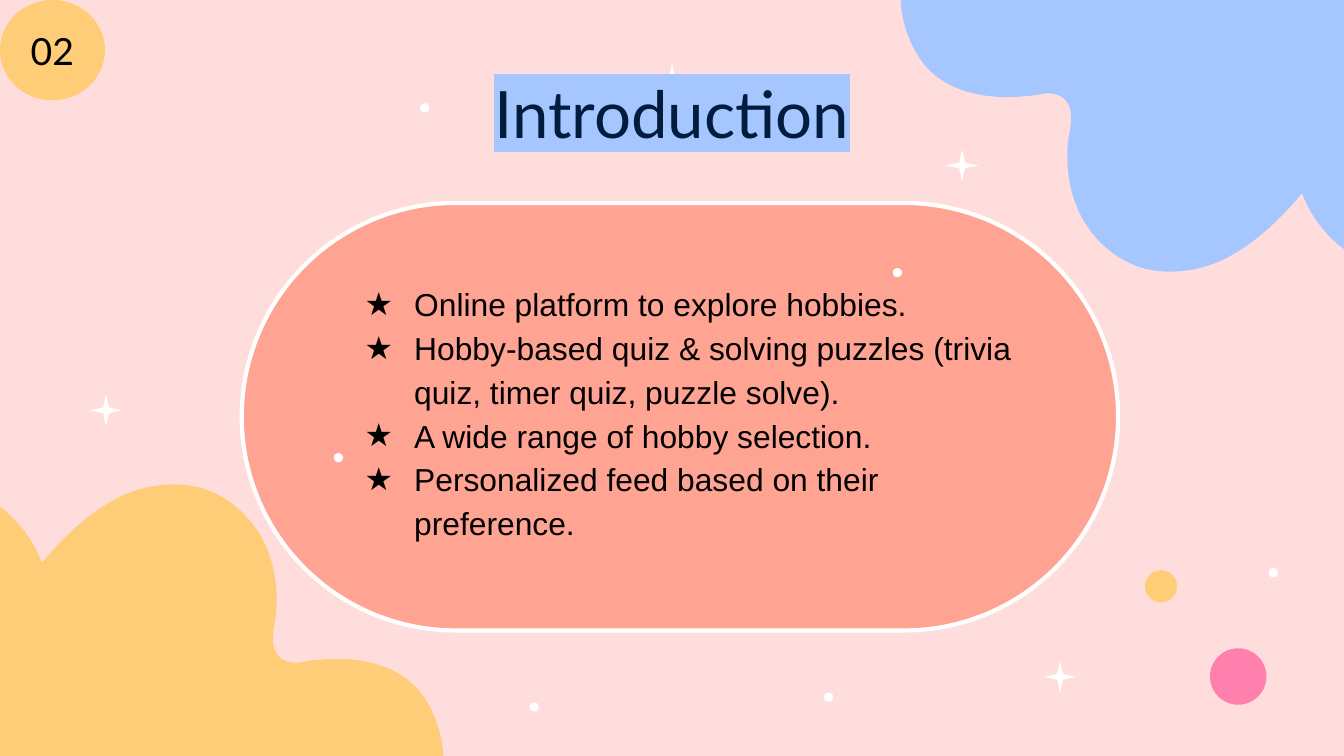
"""Build the introduction slide with a capsule list and cloud decorations."""
from typing import NamedTuple

from lxml import etree
from pptx import Presentation
from pptx import util as u
from pptx.dml import color
from pptx.enum import shapes, text
from pptx.oxml import ns

WIDTH, HEIGHT = 720, 405
WHITE, BLACK, NAVY = "FFFFFF", "000000", "021C3D"
BLUSH, CORAL, PINK = "FFDDDD", "FFA393", "FF7FAD"
BLUE, YELLOW = "A5C6FF", "FFCC77"
STAR, OVAL = shapes.MSO_SHAPE.STAR_4_POINT, shapes.MSO_SHAPE.OVAL


class Ornament(NamedTuple):
    """A plain preset shape, measured in points."""
    kind: shapes.MSO_SHAPE
    left: float
    top: float
    width: float
    height: float
    fill: str


def star(left: float, top: float) -> Ornament:
    """Describe a white sparkle."""
    return Ornament(STAR, left, top, 17.25, 17.25, WHITE)


def dot(left: float, top: float) -> Ornament:
    """Describe a small white dot."""
    return Ornament(OVAL, left, top, 5, 5, WHITE)


BACK_ORNAMENTS = [
    star(559.3, 354), star(31, 26), star(48.2, 211.2), star(351.4, 34),
    dot(679.7, 304.4), dot(283.7, 376.3), dot(441.4, 371), dot(225.1, 55.3),
]
FRONT_ORNAMENTS = [
    dot(478.3, 143.6), Ornament(OVAL, 648.2, 347.3, 30.25, 30.25, PINK),
    Ornament(OVAL, 613.4, 305.5, 17.25, 17.25, YELLOW),
    star(506.8, 80), dot(178.8, 242.7),
]
BADGE = Ornament(OVAL, 0, 0, 56.25, 53.75, YELLOW)
CAPSULE = Ornament(shapes.MSO_SHAPE.ROUNDED_RECTANGLE, 129.5, 108.75, 469.5, 229, CORAL)

CLOUD_START = (93, 259.5)
CLOUD_SEGMENTS = [
    [(97.5, 259.5), (102, 260), (106.5, 261)],
    [(121, 265), (133, 275), (140.5, 288.5)],
    [(147.5, 302), (149.5, 317), (147.5, 331.5)],
    [(146, 339), (144.5, 348.5), (151, 353)],
    [(153.5, 354.5), (156, 355), (158.5, 355)],
    [(161, 355), (163, 354.5), (165.5, 354)],
    [(170.5, 353.5), (175.5, 353), (180.5, 353)],
    [(197, 353), (214, 357.5), (224.5, 370)],
    [(232, 379), (237, 392.5), (237.5, 405)],
    [(0, 405)],
    [(0, 271.5)],
    [(10, 279), (18, 289.5), (22.5, 301.5)],
    [(33, 289), (44.5, 277.5), (59, 269)],
    [(69, 263), (81, 259.5), (93, 259.5)],
]
FEATURES = [
    "Online platform to explore hobbies.",
    "Hobby-based quiz & solving puzzles (trivia quiz, timer quiz, puzzle solve).",
    "A wide range of hobby selection.",
    "Personalized feed based on their preference.",
]


def rgb(value: str) -> color.RGBColor:
    """Turn a hex string into a colour."""
    return color.RGBColor.from_string(value)


def paint(shape, fill: str) -> None:
    """Give a shape a flat fill without line or shadow."""
    shape.shadow.inherit = False
    shape.fill.solid()
    shape.fill.fore_color.rgb = rgb(fill)
    shape.line.fill.background()


def draw_ornament(slide, ornament: Ornament):
    """Draw one preset shape and return it."""
    box = map(u.Pt, (ornament.left, ornament.top, ornament.width, ornament.height))
    shape = slide.shapes.add_shape(ornament.kind, *box)
    paint(shape, ornament.fill)
    if ornament.kind == STAR:
        shape.adjustments[0] = 0.125
    return shape


def draw_cloud(slide, fill: str):
    """Draw the curved cloud in the lower left corner and return it."""
    anchors = [(u.Pt(x), u.Pt(y)) for *_, (x, y) in CLOUD_SEGMENTS]
    builder = slide.shapes.build_freeform(*map(u.Pt, CLOUD_START))
    builder.add_line_segments(anchors, close=True)
    shape = builder.convert_to_shape()
    paint(shape, fill)
    lines = list(shape._element.iter(ns.qn("a:lnTo")))
    for line, segment in zip(lines, CLOUD_SEGMENTS):
        if len(segment) == 1:
            continue
        curve = etree.Element(ns.qn("a:cubicBezTo"))
        for x, y in segment:
            etree.SubElement(curve, ns.qn("a:pt"), x=str(u.Pt(x) - shape.left),
                             y=str(u.Pt(y) - shape.top))
        line.getparent().replace(line, curve)
    return shape


def prepare_frame(shape):
    """Set wrapping, margins and middle anchoring of a text frame."""
    frame = shape.text_frame
    frame.word_wrap = True
    frame.auto_size = text.MSO_AUTO_SIZE.NONE
    frame.vertical_anchor = text.MSO_ANCHOR.MIDDLE
    frame.margin_left = frame.margin_right = u.Pt(7.2)
    frame.margin_top = frame.margin_bottom = u.Pt(7.2)
    return frame


def style_paragraph(paragraph, font: str, size: float, fill: str, align) -> None:
    """Set the font and alignment of a paragraph."""
    paragraph.alignment = align
    paragraph.font.name = font
    paragraph.font.size = u.Pt(size)
    paragraph.font.color.rgb = rgb(fill)


def add_star_bullet(paragraph) -> None:
    """Give a paragraph a hanging black star bullet."""
    properties = paragraph._p.get_or_add_pPr()
    properties.set("marL", str(u.Pt(36)))
    properties.set("indent", str(-u.Pt(26.5)))
    bullet_color = etree.Element(ns.qn("a:buClr"))
    etree.SubElement(bullet_color, ns.qn("a:srgbClr"), val=BLACK)
    size = etree.Element(ns.qn("a:buSzPts"), val="1700")
    typeface = etree.Element(ns.qn("a:buFont"), typeface="Arial")
    bullet = etree.Element(ns.qn("a:buChar"), char="★")
    font = properties.find(ns.qn("a:defRPr"))
    for element in (bullet_color, size, typeface, bullet):
        font.addprevious(element)


def draw_title(slide) -> None:
    """Fill the title placeholder and highlight its words."""
    title = slide.shapes.title
    title.left, title.top, title.width, title.height = map(u.Pt, (98.5, 23, 523, 74))
    paragraph = prepare_frame(title).paragraphs[0]
    run = paragraph.add_run()
    run.text = "Introduction"
    style_paragraph(paragraph, "Lato", 35, NAVY, text.PP_ALIGN.CENTER)
    highlight = etree.SubElement(run._r.get_or_add_rPr(), ns.qn("a:highlight"))
    etree.SubElement(highlight, ns.qn("a:srgbClr"), val=BLUE)
    slide.shapes._spTree.append(title._element)


def draw_features(slide) -> None:
    """Write the bulleted feature list."""
    box = slide.shapes.add_textbox(*map(u.Pt, (178.8, 135.5, 376.5, 224.5)))
    frame = prepare_frame(box)
    frame.margin_bottom = u.Pt(62.5)
    for index, feature in enumerate(FEATURES):
        paragraph = frame.add_paragraph() if index else frame.paragraphs[0]
        paragraph.text = feature
        paragraph.line_spacing = 1.15
        style_paragraph(paragraph, "Arial", 17, BLACK, text.PP_ALIGN.LEFT)
        add_star_bullet(paragraph)


def main() -> None:
    """Build and save the presentation."""
    presentation = Presentation()
    presentation.slide_width, presentation.slide_height = u.Pt(WIDTH), u.Pt(HEIGHT)
    slide = presentation.slides.add_slide(presentation.slide_layouts[5])
    slide.background.fill.solid()
    slide.background.fill.fore_color.rgb = rgb(BLUSH)
    for ornament in BACK_ORNAMENTS:
        draw_ornament(slide, ornament)
    cloud = draw_cloud(slide, BLUE)
    cloud.left, cloud.top, cloud.rotation = u.Pt(WIDTH) - cloud.width, 0, 180
    draw_cloud(slide, YELLOW)
    capsule = draw_ornament(slide, CAPSULE)
    capsule.adjustments[0] = 0.5
    capsule.line.color.rgb = rgb(WHITE)
    capsule.line.width = u.Pt(2.25)
    draw_title(slide)
    draw_features(slide)
    for ornament in FRONT_ORNAMENTS:
        draw_ornament(slide, ornament)
    paragraph = prepare_frame(draw_ornament(slide, BADGE)).paragraphs[0]
    paragraph.text = "02"
    style_paragraph(paragraph, "Lato", 20, BLACK, text.PP_ALIGN.CENTER)
    presentation.save("out.pptx")


if __name__ == "__main__":
    main()
